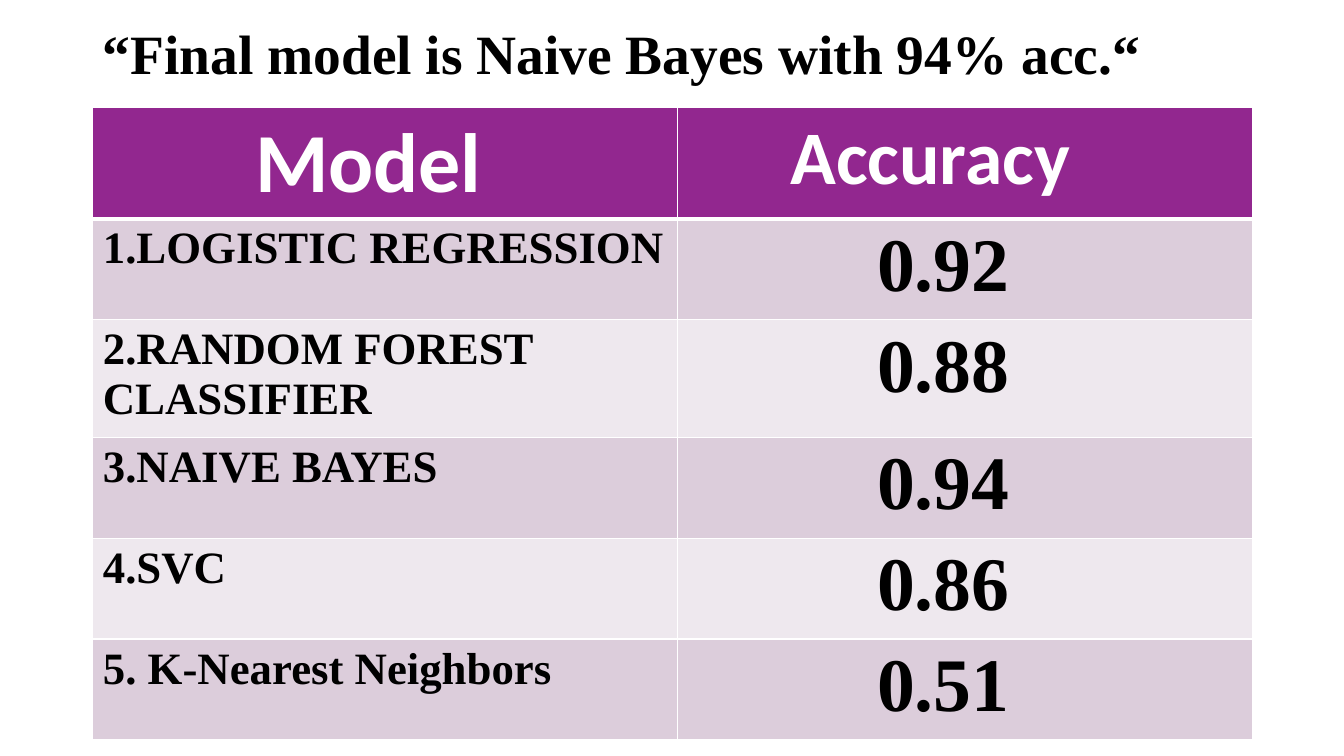
from typing import Any, NamedTuple

from lxml import etree
from pptx import Presentation
from pptx import util as u
from pptx.dml.color import RGBColor
from pptx.enum import text
from pptx.oxml import ns

COLORS = {
    "header": "92278F",
    "odd": "DCCDDB",
    "even": "EEE8EE",
    "border": "FFFFFF",
    "light": "FFFFFF",
    "dark": "000000",
}
SERIF = "Times New Roman"
SANS = "Calibri"


class Style(NamedTuple):
    size: float
    font: str
    color: str
    left: float = 0.1
    align: Any = text.PP_ALIGN.LEFT


class Score(NamedTuple):
    model: str
    accuracy: str


TITLE = Style(39.6, SERIF, "dark")
MODEL_HEAD = Style(60, SANS, "light", left=1.61)
ACCURACY_HEAD = Style(54, SANS, "light", left=1.12)
MODEL = Style(32, SERIF, "dark")
ACCURACY = Style(54, SERIF, "dark", left=1.98, align=text.PP_ALIGN.JUSTIFY)

SCORES = [
    Score("1.LOGISTIC REGRESSION", "0.92"),
    Score("2.RANDOM FOREST CLASSIFIER", "0.88"),
    Score("3.NAIVE BAYES", "0.94"),
    Score("4.SVC", "0.86"),
    Score("5. K-Nearest Neighbors", "0.51"),
]
COLUMN_WIDTHS = [5.8, 5.7]
ROW_HEIGHT = 0.98


def rgb(name: str) -> RGBColor:
    return RGBColor.from_string(COLORS[name])


def write(frame: Any, words: str, style: Style) -> Any:
    """Put one styled paragraph in the text frame and return it."""
    para = frame.paragraphs[0]
    para.alignment = style.align
    span = para.add_run()
    span.text = words
    formats = {"size": u.Pt(style.size), "name": style.font, "bold": True}
    for name, value in formats.items():
        setattr(span.font, name, value)
    span.font.color.rgb = rgb(style.color)
    return para


def add_borders(cell: Any, bottom: float) -> None:
    properties = cell._tc.get_or_add_tcPr()
    widths = {"lnL": 1, "lnR": 1, "lnT": 1, "lnB": bottom}
    for place, (side, width) in enumerate(widths.items()):
        line = etree.Element(ns.qn(f"a:{side}"), w=str(int(u.Pt(width))))
        fill = etree.SubElement(line, ns.qn("a:solidFill"))
        etree.SubElement(fill, ns.qn("a:srgbClr"), val=COLORS["border"])
        properties.insert(place, line)


def fill_cell(cell: Any, words: str, style: Style, fill: str, bottom: float) -> None:
    cell.margin_left = u.Inches(style.left)
    cell.fill.solid()
    cell.fill.fore_color.rgb = rgb(fill)
    add_borders(cell, bottom)
    write(cell.text_frame, words, style)


def add_title(page: Any) -> None:
    box = page.shapes.add_textbox(
        u.Inches(0.92), u.Inches(0.16), u.Inches(11.5), u.Inches(0.81)
    )
    box.text_frame.word_wrap = True
    box.text_frame.vertical_anchor = text.MSO_ANCHOR.MIDDLE
    para = write(box.text_frame, "“Final model is Naive Bayes with 94% acc.“", TITLE)
    para.line_spacing = 0.9


def add_score_table(page: Any) -> None:
    rows = [Score("Model", "Accuracy"), *SCORES]
    table = page.shapes.add_table(
        len(rows), len(COLUMN_WIDTHS), u.Inches(0.92), u.Inches(1.07),
        u.Inches(sum(COLUMN_WIDTHS)), u.Inches(ROW_HEIGHT * len(rows)),
    ).table
    for column, width in zip(table.columns, COLUMN_WIDTHS):
        column.width = u.Inches(width)
    for index, score in enumerate(rows):
        table.rows[index].height = u.Inches(ROW_HEIGHT)
        if index == 0:
            styles, fill, bottom = (MODEL_HEAD, ACCURACY_HEAD), "header", 3
        else:
            styles, fill, bottom = (MODEL, ACCURACY), "odd" if index % 2 else "even", 1
        for column, (words, style) in enumerate(zip(score, styles)):
            fill_cell(table.cell(index, column), words, style, fill, bottom)


def main() -> None:
    deck = Presentation()
    deck.slide_width, deck.slide_height = u.Inches(13.33), u.Inches(7.5)
    page = deck.slides.add_slide(deck.slide_layouts[6])
    add_title(page)
    add_score_table(page)
    deck.save("out.pptx")


if __name__ == "__main__":
    main()
